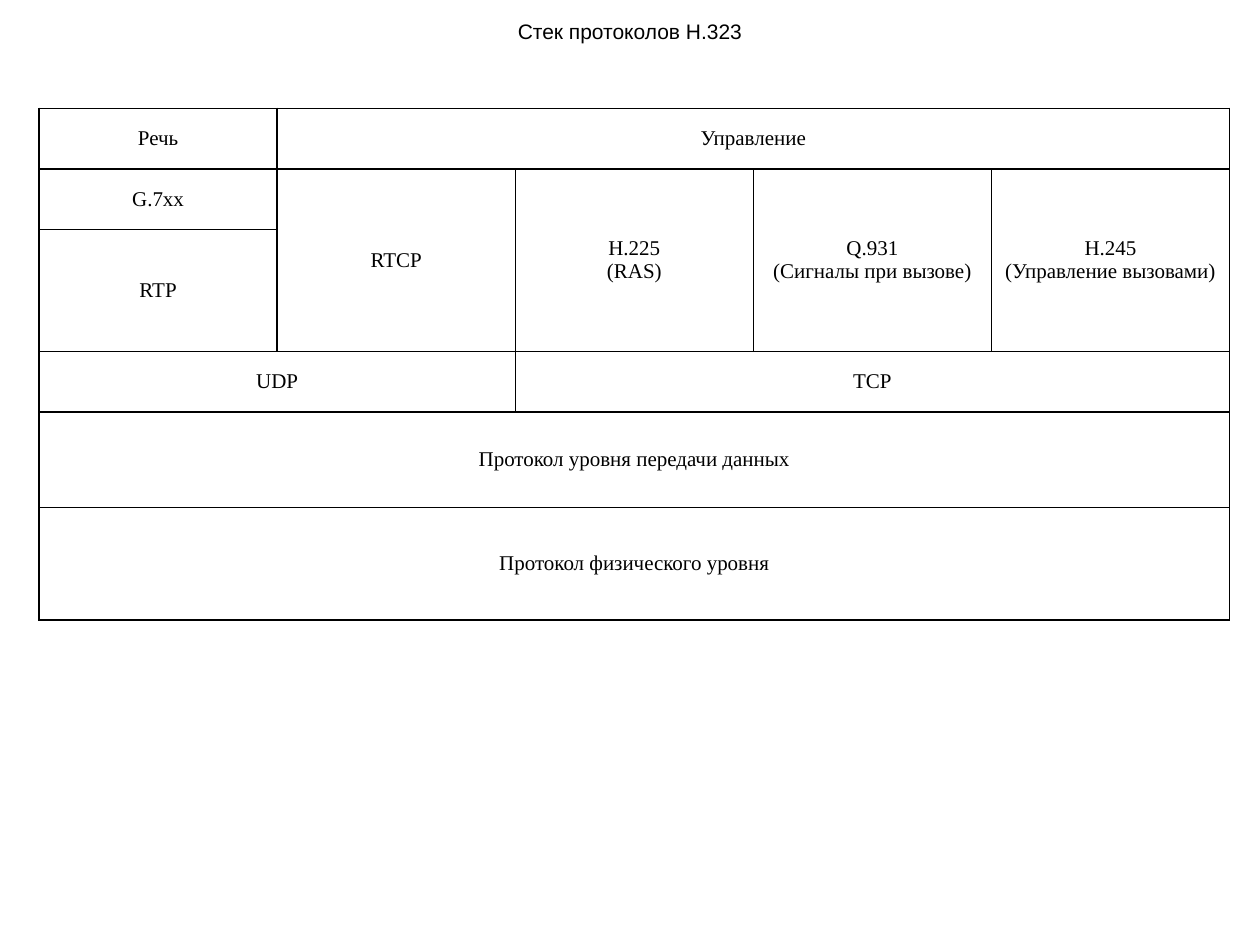
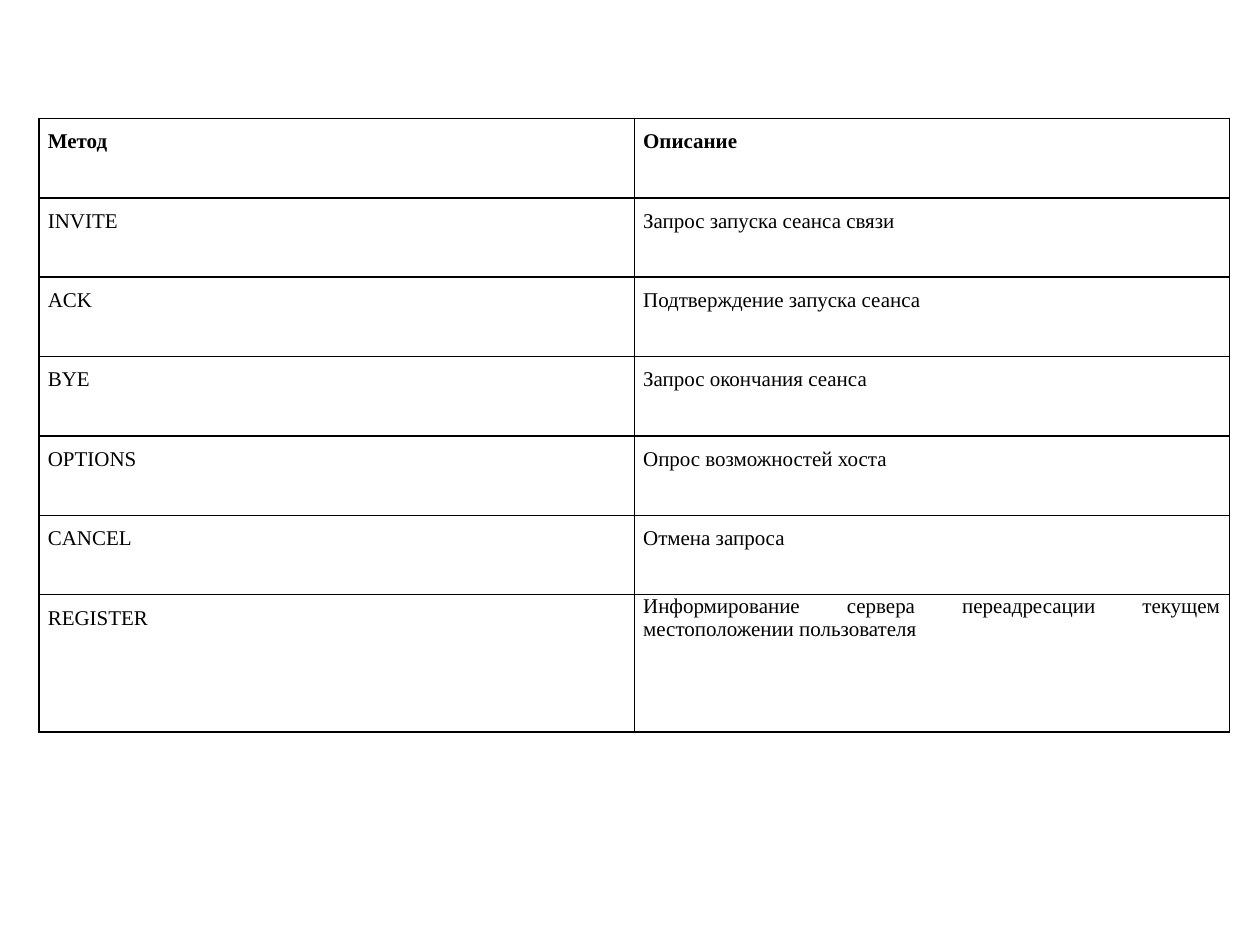
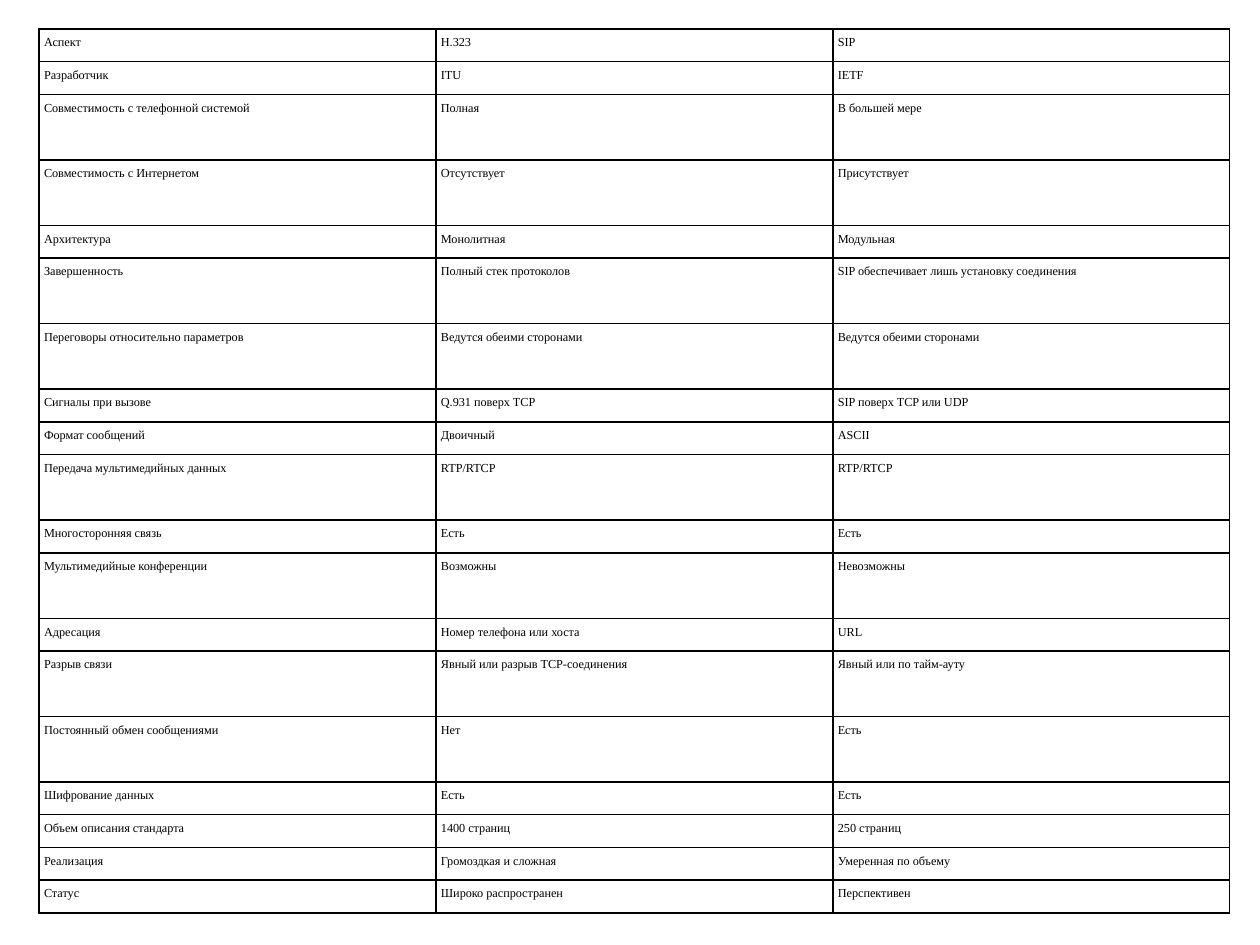
from lxml.etree import SubElement
from pptx import Presentation
from pptx.dml.color import RGBColor
from pptx.enum.text import MSO_ANCHOR, MSO_AUTO_SIZE, PP_ALIGN
from pptx.oxml import parse_xml
from pptx.oxml.ns import nsdecls, qn
from pptx.util import Inches, Pt

COLORS = {"text": "000000", "border": "000000"}
TITLE_FONT, TABLE_FONT = "Arial", "Times New Roman"
TITLE_ONLY, BLANK = 5, 6
TABLE_LEFT, TABLE_WIDTH = 0.31, 9.45
LINE_SPACING = 1.5

STACK_ROWS = [
    ["Речь", "Управление", None, None, None],
    ["G.7xx", "RTCP", "H.225\n(RAS)", "Q.931\n(Сигналы при вызове)",
     "H.245\n(Управление вызовами)"],
    ["RTP", None, None, None, None],
    ["UDP", None, "TCP", None, None],
    ["Протокол уровня передачи данных", None, None, None, None],
    ["Протокол физического уровня", None, None, None, None],
]
STACK_HEIGHTS = [0.48, 0.48, 0.97, 0.48, 0.76, 0.89]
# First and last cell of each merged area, as (row, column)
STACK_MERGES = [
    ((0, 1), (0, 4)),
    *[((1, column), (2, column)) for column in range(1, 5)],
    ((3, 0), (3, 1)), ((3, 2), (3, 4)),
    ((4, 0), (4, 4)), ((5, 0), (5, 4)),
]

METHODS = [
    ["Метод", "Описание"],
    ["INVITE", "Запрос запуска сеанса связи"],
    ["ACK", "Подтверждение запуска сеанса"],
    ["BYE", "Запрос окончания сеанса"],
    ["OPTIONS", "Опрос возможностей хоста"],
    ["CANCEL", "Отмена запроса"],
    ["REGISTER", "Информирование сервера переадресации текущем местоположении пользователя"],
]

ASPECTS = [
    ["Аспект", "H.323", "SIP"],
    ["Разработчик", "ITU", "IETF"],
    ["Совместимость с телефонной системой", "Полная", "В большей мере"],
    ["Совместимость с Интернетом", "Отсутствует", "Присутствует"],
    ["Архитектура", "Монолитная", "Модульная"],
    ["Завершенность", "Полный стек протоколов", "SIP обеспечивает лишь установку соединения"],
    ["Переговоры относительно параметров", "Ведутся обеими сторонами",
     "Ведутся обеими сторонами"],
    ["Сигналы при вызове", "Q.931 поверх TCP", "SIP поверх TCP или UDP"],
    ["Формат сообщений", "Двоичный", "ASCII"],
    ["Передача мультимедийных данных", "RTP/RTCP", "RTP/RTCP"],
    ["Многосторонняя связь", "Есть", "Есть"],
    ["Мультимедийные конференции", "Возможны", "Невозможны"],
    ["Адресация", "Номер телефона или хоста", "URL"],
    ["Разрыв связи", "Явный или разрыв TCP-соединения", "Явный или по тайм-ауту"],
    ["Постоянный обмен сообщениями", "Нет", "Есть"],
    ["Шифрование данных", "Есть", "Есть"],
    ["Объем описания стандарта", "1400 страниц", "250 страниц"],
    ["Реализация", "Громоздкая и сложная", "Умеренная по объему"],
    ["Статус", "Широко распространен", "Перспективен"],
]
TALL_ASPECTS = {2, 3, 5, 6, 9, 11, 13, 14}


def style_font(font, name, size, bold=False):
    font.name = name
    font.size = Pt(size)
    font.bold = bold
    font.color.rgb = RGBColor.from_string(COLORS["text"])


def add_borders(cell):
    """Draw the four edges; they must precede the fill in the cell properties."""
    properties = cell._tc.get_or_add_tcPr()
    for index, edge in enumerate(("lnL", "lnR", "lnT", "lnB")):
        line = parse_xml(f'<a:{edge} {nsdecls("a")} w="{Pt(1)}"/>')
        fill = SubElement(line, qn("a:solidFill"))
        SubElement(fill, qn("a:srgbClr"), val=COLORS["border"])
        properties.insert(index, line)


def add_grid(slide, top, rows, heights, size, inset, align=None,
             anchor=MSO_ANCHOR.TOP, spacing=None):
    """Add a bordered table with equal columns; None marks a merged-over cell."""
    column_count = len(rows[0])
    table = slide.shapes.add_table(
        len(rows), column_count, Inches(TABLE_LEFT), Inches(top),
        Inches(TABLE_WIDTH), Inches(sum(heights))).table
    table.first_row = table.horz_banding = False
    for column in table.columns:
        column.width = Inches(TABLE_WIDTH / column_count)
    for row, height, texts in zip(table.rows, heights, rows):
        row.height = Inches(height)
        for cell, text in zip(row.cells, texts):
            cell.fill.background()
            add_borders(cell)
            cell.margin_left = cell.margin_right = Inches(inset)
            cell.margin_top = cell.margin_bottom = 0
            cell.vertical_anchor = anchor
            if text is None:
                continue
            cell.text_frame.text = text
            for paragraph in cell.text_frame.paragraphs:
                paragraph.alignment = align
                paragraph.line_spacing = spacing
                style_font(paragraph.runs[0].font, TABLE_FONT, size)
    return table


def add_title(slide, text):
    title = slide.shapes.title
    title.left, title.top, title.width, title.height = (
        Inches(length) for length in (0, 0, 10, 0.5))
    frame = title.text_frame
    frame.text = text
    frame.word_wrap = False
    frame.auto_size = MSO_AUTO_SIZE.SHAPE_TO_FIT_TEXT
    frame.vertical_anchor = MSO_ANCHOR.MIDDLE
    paragraph = frame.paragraphs[0]
    paragraph.alignment = PP_ALIGN.CENTER
    style_font(paragraph.runs[0].font, TITLE_FONT, 12)


def build_stack_slide(slide):
    add_title(slide, "Стек протоколов H.323")
    stack = add_grid(slide, 0.86, STACK_ROWS, STACK_HEIGHTS, 12, 0.07,
                     PP_ALIGN.CENTER, MSO_ANCHOR.MIDDLE)
    for first, last in STACK_MERGES:
        stack.cell(*first).merge(stack.cell(*last))


def build_methods_slide(slide):
    heights = [0.63] * (len(METHODS) - 1) + [1.09]
    methods = add_grid(slide, 0.94, METHODS, heights, 12, 0.07,
                       PP_ALIGN.JUSTIFY, spacing=LINE_SPACING)
    for heading in methods.rows[0].cells:
        heading.text_frame.paragraphs[0].runs[0].font.bold = True
    register_description = methods.cell(len(METHODS) - 1, 1)
    register_description.text_frame.paragraphs[0].line_spacing = None


def build_comparison_slide(slide):
    heights = [0.52 if row in TALL_ASPECTS else 0.26 for row in range(len(ASPECTS))]
    comparison = add_grid(slide, 0.23, ASPECTS, heights, 7, 0.04, spacing=LINE_SPACING)
    for heading in comparison.rows[0].cells:
        heading.text_frame.paragraphs[0].alignment = PP_ALIGN.JUSTIFY


def main():
    presentation = Presentation()
    presentation.slide_width, presentation.slide_height = Inches(10), Inches(7.5)
    for layout, build in ((TITLE_ONLY, build_stack_slide),
                          (BLANK, build_methods_slide),
                          (BLANK, build_comparison_slide)):
        build(presentation.slides.add_slide(presentation.slide_layouts[layout]))
    presentation.save("out.pptx")


if __name__ == "__main__":
    main()
